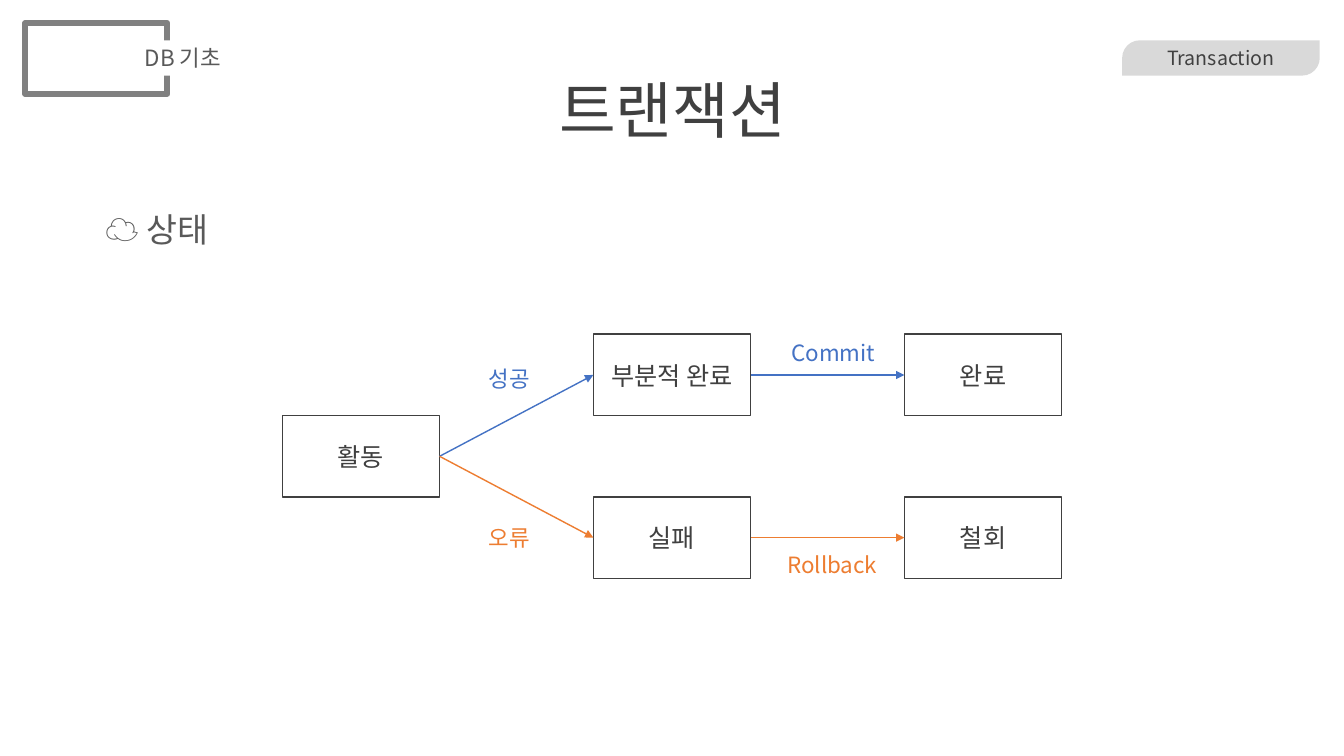
from lxml import etree
from pptx import Presentation
from pptx.dml.color import RGBColor
from pptx.enum.shapes import MSO_CONNECTOR, MSO_SHAPE
from pptx.enum.text import MSO_ANCHOR, PP_ALIGN
from pptx.oxml.ns import qn
from pptx.util import Inches, Pt

FONT = "Noto Sans CJK KR"
DARK, GRAY, BLUE, ORANGE = "404040", "595959", "4472C4", "ED7D31"


def rgb(value):
    return RGBColor.from_string(value)


def write(shape, text, size, color, align=PP_ALIGN.LEFT, anchor=MSO_ANCHOR.TOP, wrap=True):
    frame = shape.text_frame
    frame.word_wrap = wrap
    frame.vertical_anchor = anchor
    paragraph = frame.paragraphs[0]
    paragraph.alignment = align
    run = paragraph.add_run()
    run.text = text
    run.font.size = Pt(size)
    run.font.name = FONT
    run.font.color.rgb = rgb(color)
    etree.SubElement(run.font._element, qn("a:ea")).set("typeface", FONT)
    return paragraph


prs = Presentation()
prs.slide_width, prs.slide_height = Inches(13.33), Inches(7.5)
shapes = prs.slides.add_slide(prs.slide_layouts[6]).shapes

title = shapes.add_textbox(Inches(0.92), Inches(0.4), Inches(11.5), Inches(1.45))
write(title, "트랜잭션", 44, DARK, PP_ALIGN.CENTER, MSO_ANCHOR.MIDDLE).line_spacing = 0.9

heading = shapes.add_textbox(Inches(0.95), Inches(2.02), Inches(11.5), Inches(5.1))
write(heading, "☁ 상태", 24, GRAY).space_before = Pt(10)

topic = shapes.add_shape(MSO_SHAPE.ROUND_2_DIAG_RECTANGLE,
                         Inches(11.13), Inches(0.4), Inches(1.96), Inches(0.35))
topic.adjustments[0] = 0.5
topic.adjustments[1] = 0
topic.shadow.inherit = False
topic.fill.solid()
topic.fill.fore_color.rgb = rgb("D9D9D9")
topic.line.fill.background()
write(topic, "Transaction", 14, DARK, PP_ALIGN.CENTER, MSO_ANCHOR.MIDDLE)

course_frame = shapes.add_shape(MSO_SHAPE.RECTANGLE,
                                Inches(0.25), Inches(0.23), Inches(1.41), Inches(0.7))
course = shapes.add_shape(MSO_SHAPE.RECTANGLE,
                          Inches(0.54), Inches(0.4), Inches(2.55), Inches(0.35))
for part in (course_frame, course):
    part.shadow.inherit = False
    part.fill.solid()
    part.fill.fore_color.rgb = rgb("FFFFFF")
course_frame.line.color.rgb = rgb("808080")
course_frame.line.width = Pt(4.5)
course.line.fill.background()
write(course, "DB 기초", 16, GRAY, PP_ALIGN.CENTER, MSO_ANCHOR.MIDDLE)

states = {}
for name, column, row in (("활동", 0, 1), ("부분적 완료", 1, 0), ("실패", 1, 2),
                          ("완료", 2, 0), ("철회", 2, 2)):
    state = shapes.add_shape(MSO_SHAPE.RECTANGLE,
                             Inches(2.8 + 3.085 * column), Inches(3.315 + 0.807 * row),
                             Inches(1.56), Inches(0.81))
    state.shadow.inherit = False
    state.fill.background()
    state.line.color.rgb = rgb(DARK)
    state.line.width = Pt(1)
    write(state, name, 18, DARK, PP_ALIGN.CENTER, MSO_ANCHOR.MIDDLE)
    states[name] = state

for source, target, event, color, left, top, width in (
        ("활동", "부분적 완료", "성공", BLUE, 4.75, 3.57, 0.62),
        ("활동", "실패", "오류", ORANGE, 4.75, 5.15, 0.62),
        ("부분적 완료", "완료", "Commit", BLUE, 7.75, 3.32, 1.03),
        ("실패", "철회", "Rollback", ORANGE, 7.71, 5.42, 1.1)):
    arrow = shapes.add_connector(MSO_CONNECTOR.STRAIGHT, 0, 0, 0, 0)
    arrow.begin_connect(states[source], 3)
    arrow.end_connect(states[target], 1)
    arrow.line.color.rgb = rgb(color)
    arrow.line.width = Pt(1)
    etree.SubElement(arrow.line._get_or_add_ln(), qn("a:tailEnd")).set("type", "triangle")
    etree.SubElement(arrow._element.spPr, qn("a:effectLst"))
    label = shapes.add_textbox(Inches(left), Inches(top), Inches(width), Inches(0.37))
    write(label, event, 16, color, wrap=False)

prs.save("out.pptx")
